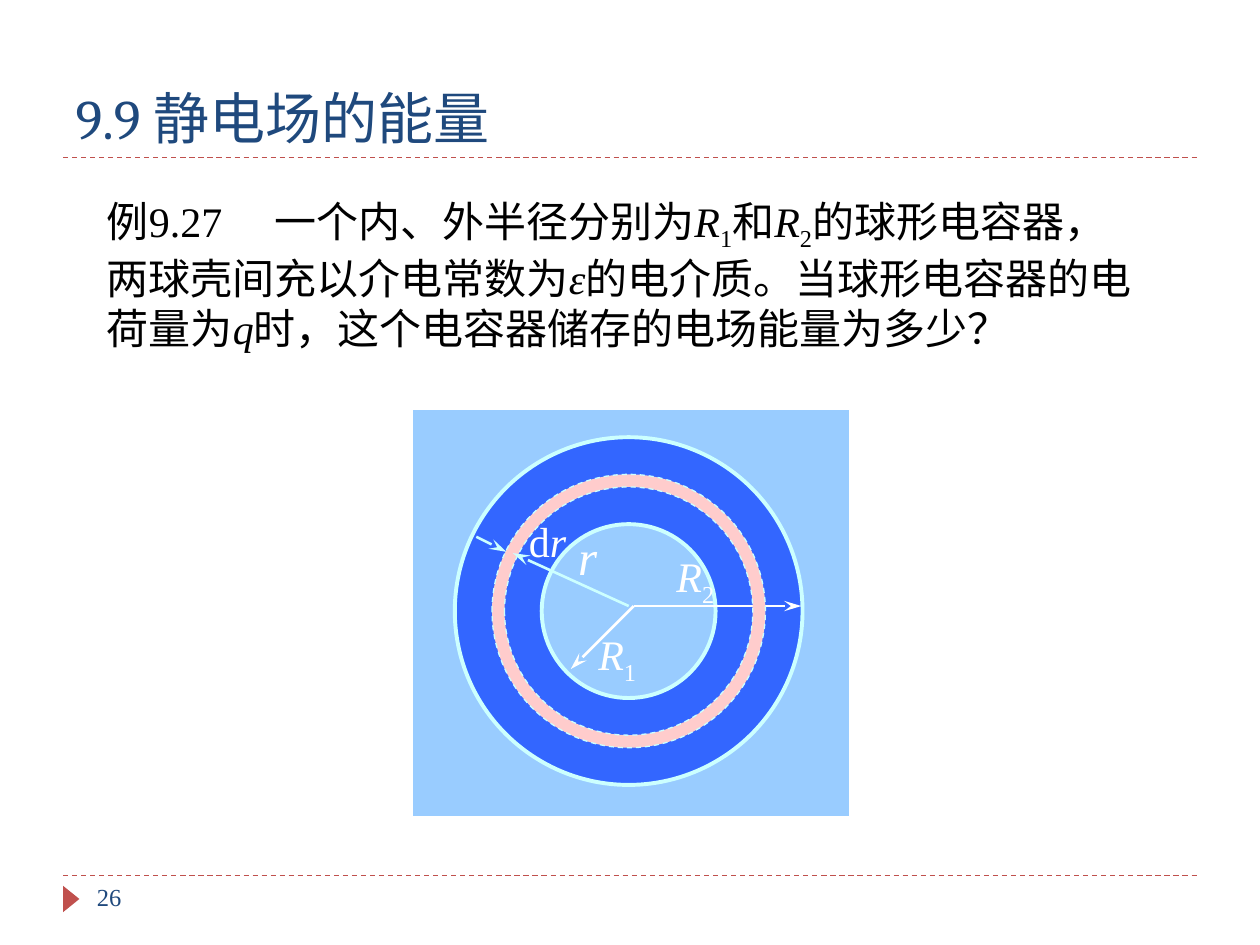
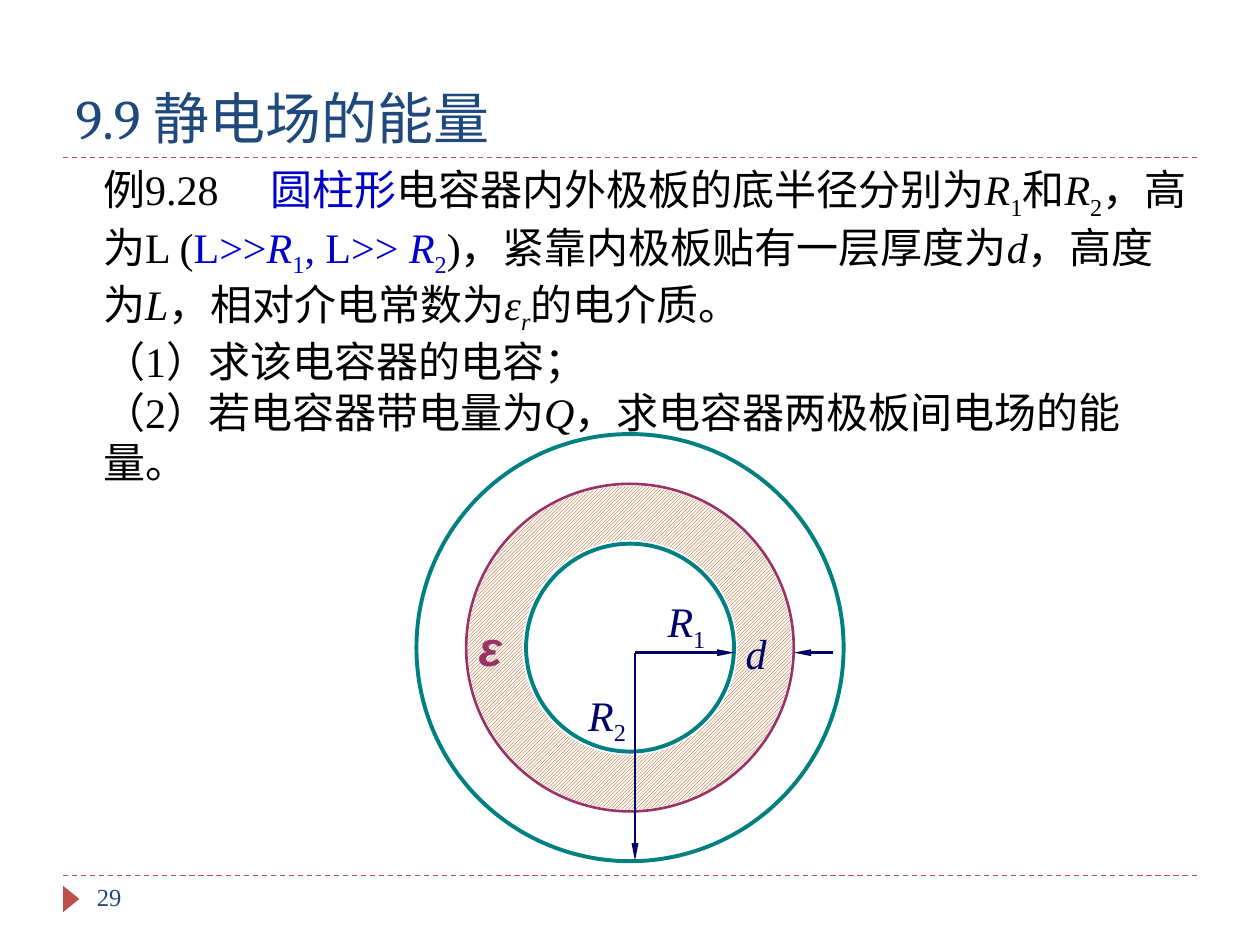
import dataclasses
from typing import Optional, Union

import lxml.etree
import pptx
import pptx.dml.color
import pptx.enum.dml
import pptx.enum.shapes
import pptx.enum.text
import pptx.oxml.ns
import pptx.util

Inches = pptx.util.Inches
Pt = pptx.util.Pt
Shapes = pptx.enum.shapes.MSO_SHAPE
Dash = pptx.enum.dml.MSO_LINE
qn = pptx.oxml.ns.qn


@dataclasses.dataclass(frozen=True)
class Theme:
    title_font: str = "Cambria"
    text_font: str = "Times New Roman"
    symbol_font: str = "Arial"
    title_size: float = 32
    large_size: float = 28
    text_size: float = 24
    number_size: float = 14
    title: str = "1F497D"
    accent: str = "C0504D"
    text: str = "000000"
    emphasis: str = "0000CC"
    white: str = "FFFFFF"
    backdrop: str = "99CCFF"
    sphere: str = "3366FF"
    sphere_edge: str = "CCFFFF"
    shell: str = "FFCCCC"
    plate: str = "008080"
    dielectric: str = "993366"
    dielectric_ground: str = "FBFAE2"
    dimension: str = "000066"
    thin: float = 0.75
    medium: float = 1.5
    thick: float = 2.25


THEME = Theme()
TITLE = "9.9 静电场的能量"
TAB_AFTER_NUMBER = 1.33
HEAD_WIDTHS = {"stealth": "med", "triangle": "sm"}


@dataclasses.dataclass(frozen=True)
class Piece:
    text: str
    italic: bool = False
    subscript: bool = False
    color: Optional[str] = None


@dataclasses.dataclass(frozen=True)
class Label:
    left: float
    top: float
    width: float
    pieces: list[Piece]
    color: str
    size: float = THEME.text_size
    font: str = THEME.text_font
    bold: bool = False


@dataclasses.dataclass(frozen=True)
class Arrow:
    start: tuple[float, float]
    end: tuple[float, float]
    color: str
    head: str


@dataclasses.dataclass(frozen=True)
class Circle:
    """A circle, or a ring when it has a thickness."""
    center: tuple[float, float]
    diameter: float
    line: Optional[str] = None
    line_width: float = THEME.thick
    thickness: float = 0
    fill: Optional[str] = None
    hatch_ground: Optional[str] = None
    dashed: bool = False


Part = Union[Label, Arrow, Circle]


def rgb(color: str) -> pptx.dml.color.RGBColor:
    return pptx.dml.color.RGBColor.from_string(color)


def symbol(name: str, index: str = "", color: Optional[str] = None,
           italic_index: bool = False) -> list[Piece]:
    """An italic quantity with an optional subscript."""
    pieces = [Piece(name, italic=True, color=color)]
    if index:
        pieces.append(Piece(index, italic_index, True, color))
    return pieces


def fill_paragraph(paragraph, pieces: list[Piece], size: float, color: str,
                   font: str = THEME.text_font, bold: bool = False) -> None:
    paragraph.alignment = pptx.enum.text.PP_ALIGN.LEFT
    paragraph.font.name = font
    paragraph.font.size = Pt(size)
    paragraph.font.bold = bold
    paragraph.font.color.rgb = rgb(color)
    for piece in pieces:
        run = paragraph.add_run()
        run.text = piece.text
        if piece.italic:
            run.font.italic = True
        if piece.color:
            run.font.color.rgb = rgb(piece.color)
        if piece.subscript:
            run._r.get_or_add_rPr().set("baseline", "-25000")


def add_text_frame(shapes, left: float, top: float, width: float, height: float,
                   wrap: bool = True):
    box = shapes.add_textbox(Inches(left), Inches(top), Inches(width), Inches(height))
    box.text_frame.word_wrap = wrap
    return box.text_frame


def add_line(shapes, start: tuple[float, float], end: tuple[float, float],
             color: str, width: float):
    connector = shapes.add_connector(
        pptx.enum.shapes.MSO_CONNECTOR.STRAIGHT, *map(Inches, (*start, *end)))
    connector.line.color.rgb = rgb(color)
    connector.line.width = Pt(width)
    lxml.etree.SubElement(connector._element.spPr, qn("a:effectLst"))
    return connector


def add_shape(shapes, kind, left: float, top: float, width: float, height: float,
              fill: Optional[str] = None, line: Optional[str] = None,
              line_width: float = THEME.thin):
    shape = shapes.add_shape(kind, *map(Inches, (left, top, width, height)))
    shape.shadow.inherit = False
    if fill:
        shape.fill.solid()
        shape.fill.fore_color.rgb = rgb(fill)
    else:
        shape.fill.background()
    if line:
        shape.line.color.rgb = rgb(line)
        shape.line.width = Pt(line_width)
    else:
        shape.line.fill.background()
    return shape


def draw_circle(shapes, circle: Circle) -> None:
    left, top = (middle - circle.diameter / 2 for middle in circle.center)
    kind = Shapes.DONUT if circle.thickness else Shapes.OVAL
    shape = add_shape(shapes, kind, left, top, circle.diameter, circle.diameter,
                      circle.fill, circle.line, circle.line_width)
    if circle.thickness:
        shape.adjustments[0] = circle.thickness / circle.diameter
    if circle.hatch_ground:
        shape.fill.patterned()
        shape.fill.pattern = pptx.enum.dml.MSO_PATTERN.LIGHT_UPWARD_DIAGONAL
        shape.fill.fore_color.rgb = rgb(circle.fill)
        shape.fill.back_color.rgb = rgb(circle.hatch_ground)
    if circle.dashed:
        shape.line.dash_style = Dash.DASH


def draw_arrow(shapes, arrow: Arrow) -> None:
    connector = add_line(shapes, arrow.start, arrow.end, arrow.color, THEME.medium)
    lxml.etree.SubElement(connector.line._get_or_add_ln(), qn("a:tailEnd"),
                          type=arrow.head, w=HEAD_WIDTHS[arrow.head], len="lg")


def draw_label(shapes, label: Label) -> None:
    frame = add_text_frame(shapes, label.left, label.top, label.width,
                           label.size / 60 + 0.1, wrap=False)
    fill_paragraph(frame.paragraphs[0], label.pieces, label.size, label.color,
                   label.font, label.bold)


def draw_parts(shapes, parts: list[Part]) -> None:
    painters = {Circle: draw_circle, Arrow: draw_arrow, Label: draw_label}
    for part in parts:
        painters[type(part)](shapes, part)


def add_base_slide(presentation, number: int):
    """A slide with the title, the dashed rules and the page number."""
    slide = presentation.slides.add_slide(presentation.slide_layouts[5])
    for y in (6.95, 1.25):
        rule = add_line(slide.shapes, (0.5, y), (9.5, y), THEME.accent, THEME.thin)
        rule.line.dash_style = Dash.DASH
    marker = add_shape(slide.shapes, Shapes.ISOSCELES_TRIANGLE,
                       0.46, 7.07, 0.21, 0.13, THEME.accent)
    marker.rotation = 90

    title = slide.shapes.title
    title.left, title.top, title.width, title.height = map(Inches, (0.5, 0.25, 9, 1))
    frame = title.text_frame
    frame.auto_size = pptx.enum.text.MSO_AUTO_SIZE.NONE
    frame.vertical_anchor = pptx.enum.text.MSO_ANCHOR.BOTTOM
    fill_paragraph(frame.paragraphs[0], [Piece(TITLE)], THEME.title_size,
                   THEME.title, THEME.title_font)

    frame = add_text_frame(slide.shapes, 0.67, 6.95, 2.17, 0.4)
    fill_paragraph(frame.paragraphs[0], [Piece(str(number))],
                   THEME.number_size, THEME.title)
    return slide


def add_problem(slide, left: float, top: float, width: float, height: float,
                paragraphs: list[list[Piece]]) -> None:
    """The example text; a tab separates its number from the wording."""
    frame = add_text_frame(slide.shapes, left, top, width, height)
    tabs = lxml.etree.SubElement(frame.paragraphs[0]._p.get_or_add_pPr(), qn("a:tabLst"))
    lxml.etree.SubElement(tabs, qn("a:tab"), pos=str(Inches(TAB_AFTER_NUMBER)), algn="l")
    for index, pieces in enumerate(paragraphs):
        paragraph = frame.add_paragraph() if index else frame.paragraphs[0]
        paragraph._p.get_or_add_pPr().set("hangingPunct", "0")
        fill_paragraph(paragraph, pieces, THEME.text_size, THEME.text)


def build_spherical_capacitor(presentation) -> None:
    slide = add_base_slide(presentation, 26)
    add_problem(slide, 0.75, 1.5, 8.33, 1.31, [[
        Piece("例9.27\t一个内、外半径分别为"), *symbol("R", "1"),
        Piece("和"), *symbol("R", "2"),
        Piece("的球形电容器，两球壳间充以介电常数为"), *symbol("ε"),
        Piece("的电介质。当球形电容器的电荷量为"), *symbol("q"),
        Piece("时，这个电容器储存的电场能量为多少？"),
    ]])

    shapes = slide.shapes.add_group_shape().shapes
    add_shape(shapes, Shapes.RECTANGLE, 3.27, 3.25, 3.47, 3.23,
              THEME.backdrop, THEME.white)
    center = (4.99, 4.85)
    origin = (5.03, 4.81)
    white, edge = THEME.white, THEME.sphere_edge
    draw_parts(shapes, [
        Circle(center, 2.76, edge, thickness=0.69, fill=THEME.sphere),
        Arrow(origin, (6.36, 4.81), white, "stealth"),
        Arrow(origin, (4.53, 5.31), white, "stealth"),
        Label(5.27, 4.32, 0.52, symbol("R", "2"), white),
        Label(4.65, 4.94, 0.52, symbol("R", "1"), white),
        Circle(center, 2.17, edge, THEME.thin, 0.1, THEME.shell, dashed=True),
        Arrow((4.99, 4.81), (4.07, 4.39), edge, "stealth"),
        Arrow((3.78, 4.26), (4.02, 4.38), edge, "stealth"),
        Label(4.49, 4.13, 0.35, symbol("r"), white, THEME.large_size),
        Label(4.1, 4.04, 0.5, [Piece("d"), *symbol("r")], white),
    ])


def build_cylindrical_capacitor(presentation) -> None:
    slide = add_base_slide(presentation, 29)
    blue = THEME.emphasis
    add_problem(slide, 0.72, 1.25, 8.83, 2.12, [
        [
            Piece("例9.28\t"), Piece("圆柱形", color=blue),
            Piece("电容器内外极板的底半径分别为"), *symbol("R", "1"),
            Piece("和"), *symbol("R", "2"), Piece("，高为L ("),
            Piece("L>>", color=blue), *symbol("R", "1", blue),
            Piece(", L>> ", color=blue), *symbol("R", "2", blue),
            Piece(")，紧靠内极板贴有一层厚度为"), *symbol("d"),
            Piece("，高度为"), *symbol("L"), Piece("，相对介电常数为"),
            *symbol("ε", "r", italic_index=True), Piece("的电介质。"),
        ],
        [Piece("（1）求该电容器的电容；")],
        [Piece("（2）若电容器带电量为"), *symbol("Q"),
         Piece("，求电容器两极板间电场的能量。")],
    ])

    center = (5, 5.14)
    origin = (5.04, 5.18)
    navy = THEME.dimension
    draw_parts(slide.shapes.add_group_shape().shapes, [
        Circle(center, 2.57, thickness=0.43, fill=THEME.dielectric,
               hatch_ground=THEME.dielectric_ground),
        Circle(center, 1.65, THEME.plate),
        Circle(center, 2.6, THEME.dielectric, THEME.medium),
        Circle(center, 3.39, THEME.plate),
        Arrow(origin, (5.83, 5.18), navy, "triangle"),
        Arrow((6.61, 5.18), (6.3, 5.18), navy, "triangle"),
        Label(5.82, 4.93, 0.37, symbol("d"), navy),
        Label(5.2, 4.68, 0.52, symbol("R", "1"), navy),
        Arrow(origin, (5.04, 6.83), navy, "triangle"),
        Label(4.57, 5.42, 0.52, symbol("R", "2"), navy),
        Label(3.7, 4.85, 0.37, symbol("ε"), THEME.dielectric, THEME.large_size,
              THEME.symbol_font, bold=True),
    ])


def main() -> None:
    presentation = pptx.Presentation()
    presentation.slide_width = Inches(10)
    presentation.slide_height = Inches(7.5)
    build_spherical_capacitor(presentation)
    build_cylindrical_capacitor(presentation)
    presentation.save("out.pptx")


if __name__ == "__main__":
    main()
